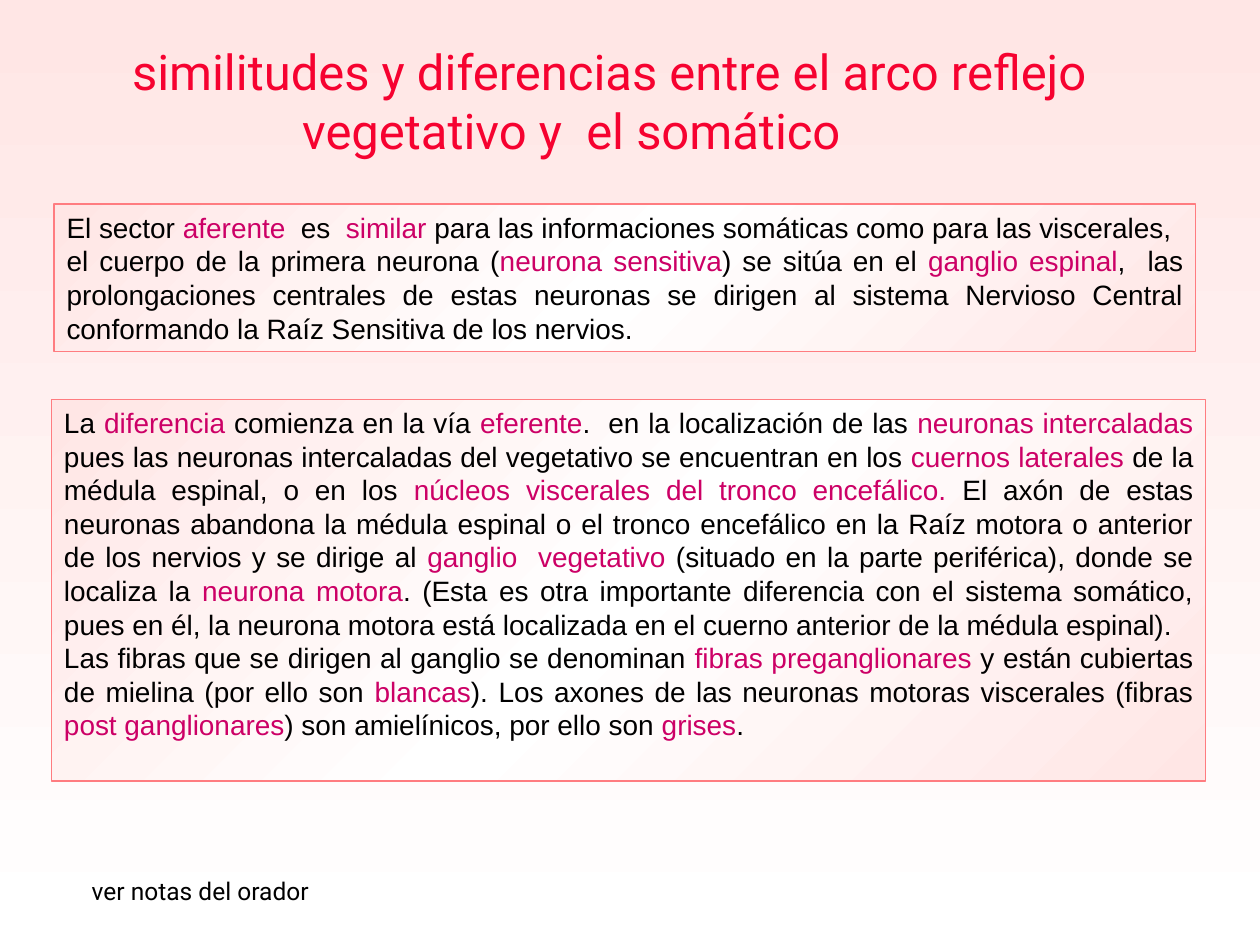
from copy import deepcopy
from pptx import Presentation
from pptx.dml.color import RGBColor
from pptx.enum.shapes import MSO_SHAPE
from pptx.enum.text import MSO_ANCHOR, PP_ALIGN
from pptx.oxml import parse_xml
from pptx.oxml.ns import nsdecls
from pptx.util import Inches, Pt

PINK = RGBColor(0xFF, 0xE6, 0xE5)
WHITE = RGBColor(0xFF, 0xFF, 0xFF)
BLACK = RGBColor(0, 0, 0)
RED = RGBColor(0xF6, 0x02, 0x30)
MAGENTA = RGBColor(0xCC, 0x00, 0x66)
BORDER = RGBColor(0xFF, 0x7C, 0x80)

TITLE = ["similitudes y diferencias entre el arco reflejo", "vegetativo y  el somático"]
TITLE_INDENT = 1.35
FOOTNOTE = ["ver notas del orador"]

# Text between bars is highlighted.
SIMILARITIES = [
    "El sector |aferente | es|  similar| para las informaciones somáticas como para las viscerales,",
    "el cuerpo de la primera neurona (|neurona sensitiva|) se sitúa en el |ganglio espinal|,  las "
    "prolongaciones centrales de estas neuronas se dirigen al sistema Nervioso Central "
    "conformando la Raíz Sensitiva de los nervios.",
]
DIFFERENCES = [
    "La |diferencia| comienza en la vía |eferente|.  en la localización de las "
    "|neuronas intercaladas| pues las neuronas intercaladas del vegetativo se encuentran en los "
    "|cuernos laterales| de la médula espinal, o en los "
    "|núcleos viscerales del tronco encefálico.| El axón de estas neuronas abandona la médula "
    "espinal o el tronco encefálico en la Raíz motora o anterior de los nervios y se dirige al "
    "|ganglio  vegetativo| (situado en la parte periférica), donde se localiza la "
    "|neurona motora|. (Esta es otra importante diferencia con el sistema somático, pues en él, "
    "la neurona motora está localizada en el cuerno anterior de la médula espinal).",
    "Las fibras que se dirigen al ganglio se denominan |fibras preganglionares| y están cubiertas "
    "de mielina (por ello son |blancas|). Los axones de las neuronas motoras viscerales (fibras "
    "|post ganglionares|) son amielínicos, por ello son |grises|.",
]
PANELS = [
    ((0.43, 1.62, 9.06, 1.17), SIMILARITIES),
    ((0.41, 3.17, 9.16, 3.03), DIFFERENCES),
]


def set_gradient(fill, colors, angle):
    fill.gradient()
    fill.gradient_angle = angle
    first = fill.gradient_stops[0]._gs
    for _ in colors[2:]:
        first.addnext(deepcopy(first))
    for index, (stop, color) in enumerate(zip(fill.gradient_stops, colors)):
        stop.position = index / (len(colors) - 1)
        stop.color.rgb = color


def write_text(frame, lines, font, size, color, align=PP_ALIGN.LEFT, wrap=True):
    frame.word_wrap = wrap
    frame.vertical_anchor = MSO_ANCHOR.TOP
    for index, line in enumerate(lines):
        paragraph = frame.add_paragraph() if index else frame.paragraphs[0]
        paragraph.alignment = align
        for position, text in enumerate(line.split("|")):
            run = paragraph.add_run()
            run.text = text
            run.font.name = font
            run.font.size = Pt(size)
            run.font.color.rgb = MAGENTA if position % 2 else color


def add_label(slide, box, lines, size, color):
    label = slide.shapes.add_textbox(*map(Inches, box))
    write_text(label.text_frame, lines, "Roboto", size, color, wrap=False)
    return label


def add_panel(slide, box, lines):
    panel = slide.shapes.add_shape(MSO_SHAPE.RECTANGLE, *map(Inches, box))
    panel.shadow.inherit = False
    set_gradient(panel.fill, [PINK, WHITE, PINK], 315)
    panel.line.color.rgb = BORDER
    panel.line.width = Pt(0.75)
    write_text(panel.text_frame, lines, "Arial", 16, BLACK, PP_ALIGN.JUSTIFY)


def add_text_shadow(run):
    shadow = parse_xml(
        f'<a:effectLst {nsdecls("a")}><a:outerShdw dist="17961" dir="2700000">'
        '<a:srgbClr val="808080"/></a:outerShdw></a:effectLst>'
    )
    run.font._element.find("{*}solidFill").addnext(shadow)


def main():
    presentation = Presentation()
    presentation.slide_width = Inches(10)
    presentation.slide_height = Inches(7.5)
    slide = presentation.slides.add_slide(presentation.slide_layouts[6])
    set_gradient(slide.background.fill, [PINK, WHITE], 270)

    title = add_label(slide, (0.95, 0.28, 8.24, 1.04), TITLE, 28, RED)
    paragraphs = title.text_frame.paragraphs
    paragraphs[1]._p.get_or_add_pPr().set("marL", str(Inches(TITLE_INDENT)))
    for paragraph in paragraphs:
        for run in paragraph.runs:
            add_text_shadow(run)

    for box, lines in PANELS:
        add_panel(slide, box, lines)
    add_label(slide, (0.63, 6.9, 2.06, 0.34), FOOTNOTE, 14, BLACK)
    presentation.save("out.pptx")


if __name__ == "__main__":
    main()
